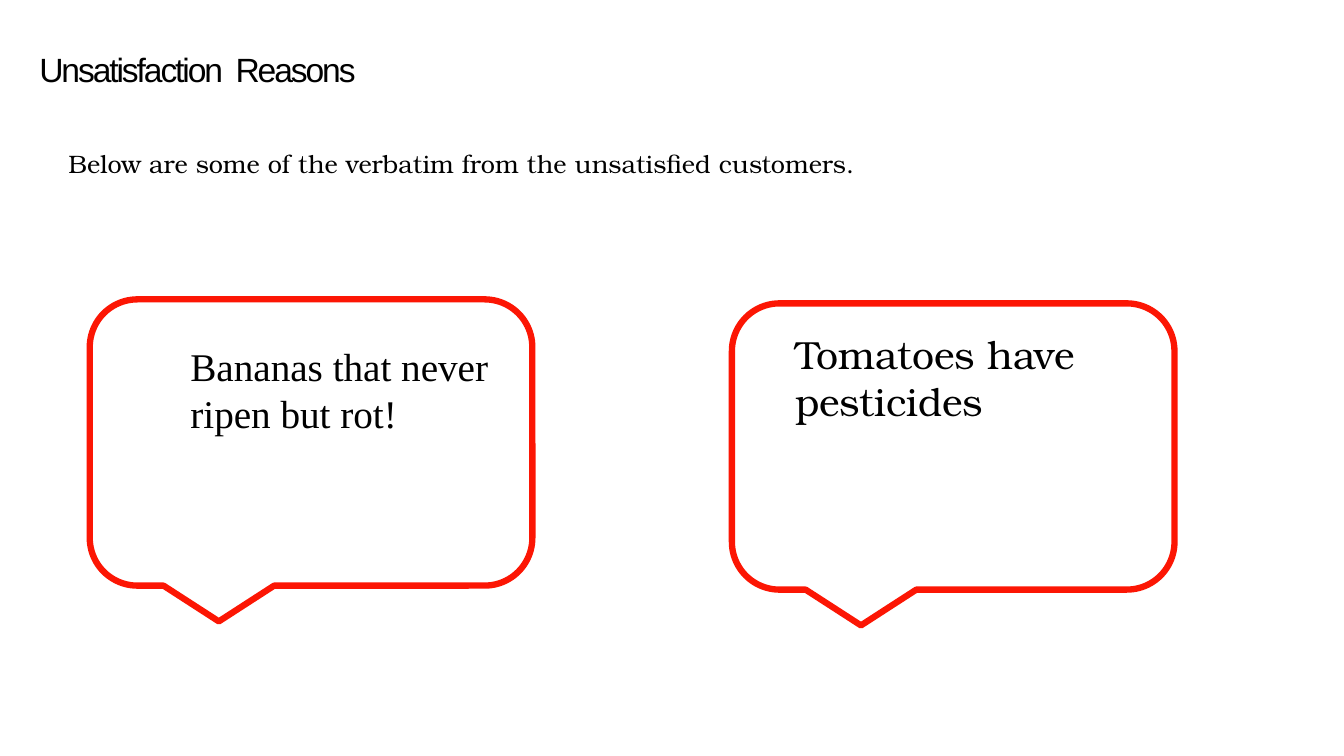
import pptx
import pptx.dml.color
import pptx.enum.shapes
import pptx.enum.text
import pptx.util

SANS, SERIF, BOOK = "Arial", "Times New Roman", "TeX Gyre Bonum"
BLACK, RED = "000000", "FC1604"


def color(hex_code):
    return pptx.dml.color.RGBColor.from_string(hex_code)


class SlideBuilder:
    def __init__(self, deck):
        self.column = deck.slide_width / 100
        self.row = deck.slide_height / 100
        self.slide = deck.slides.add_slide(deck.slide_layouts[6])

    def place(self, left, top, width, height):
        return [
            round(left * self.column),
            round(top * self.row),
            round(width * self.column),
            round(height * self.row),
        ]

    def text(self, words, cell, font, size):
        box = self.slide.shapes.add_textbox(*self.place(*cell))
        frame = box.text_frame
        frame.word_wrap = True
        run = frame.paragraphs[0].add_run()
        run.text = words
        run.font.name = font
        run.font.size = pptx.util.Pt(size)
        run.font.color.rgb = color(BLACK)
        return frame

    def title(self, words, cell):
        frame = self.text(words, cell, SANS, 24)
        frame.margin_left = frame.margin_right = 0
        frame.margin_top = frame.margin_bottom = 0
        frame.vertical_anchor = pptx.enum.text.MSO_ANCHOR.MIDDLE
        run = frame.paragraphs[0].runs[0]
        run._r.get_or_add_rPr().set("spc", "-150")

    def bubble(self, left, top):
        callout = self.slide.shapes.add_shape(
            pptx.enum.shapes.MSO_SHAPE.ROUNDED_RECTANGULAR_CALLOUT,
            *self.place(left, top, 32.93, 37.87),
        )
        callout.shadow.inherit = False
        callout.fill.background()
        callout.line.color.rgb = color(RED)
        callout.line.width = pptx.util.Pt(4.5)

    def quote(self, words, left, top, font):
        self.text(words, (left, top, 28.13, 13.87), font, 28)


def main():
    deck = pptx.Presentation()
    deck.slide_width = pptx.util.Inches(13.33)
    deck.slide_height = pptx.util.Inches(7.5)
    page = SlideBuilder(deck)

    page.title("Unsatisfaction  Reasons", (2.93, 6.27, 94.07, 5.87))
    page.bubble(54.46, 40.13)
    page.bubble(6.68, 39.6)
    page.quote("Bananas that never ripen but rot!", 13.43, 44.67, SERIF)
    page.quote("Tomatoes have pesticides", 58.44, 43.07, BOOK)
    page.text(
        "Below are some of the verbatim from the unsatisfied customers.",
        (4.35, 18.93, 80.12, 5.33), BOOK, 18,
    )
    deck.save("out.pptx")


if __name__ == "__main__":
    main()
